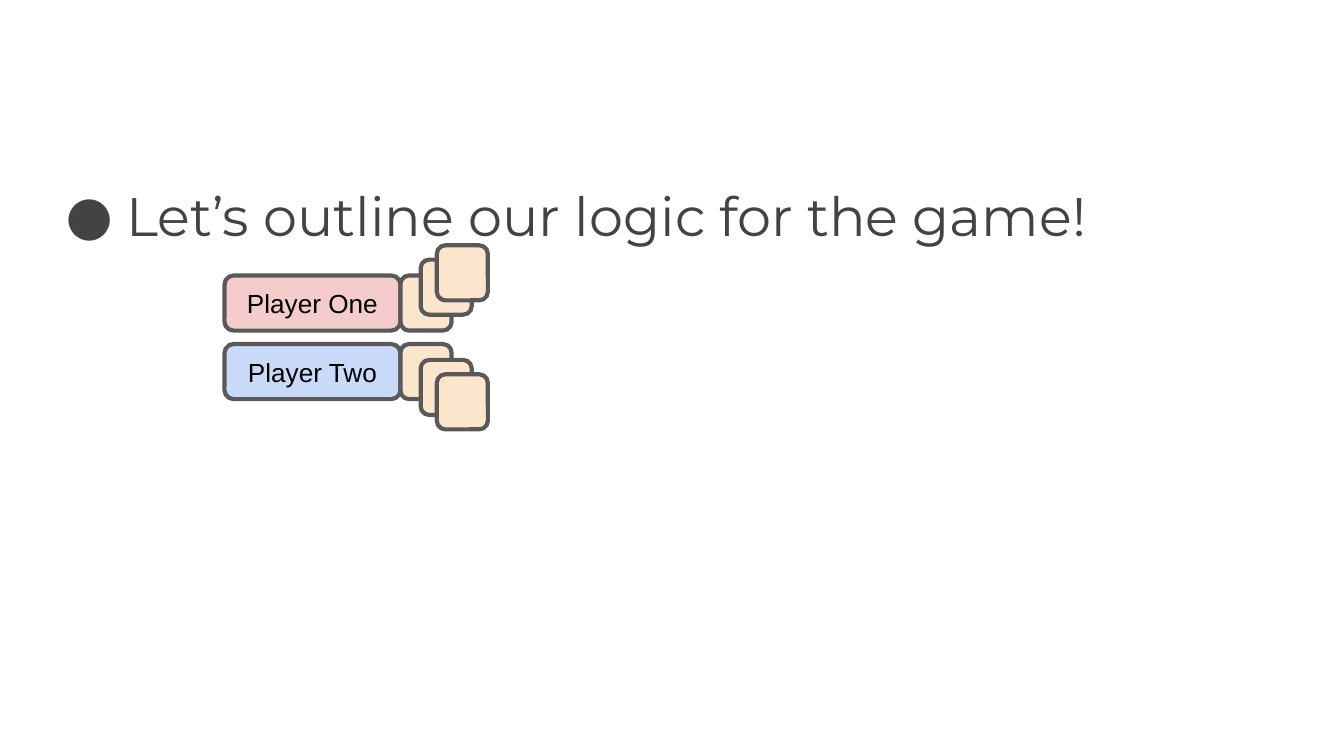
"""Build a slide showing two players, each with a fan of three cards."""
import pptx
import pptx.dml.color
import pptx.enum.shapes
import pptx.enum.text
import pptx.oxml
import pptx.oxml.ns
import pptx.util

Pt = pptx.util.Pt
RGBColor = pptx.dml.color.RGBColor
GREY = RGBColor(0x43, 0x43, 0x43)
BLACK = RGBColor(0x00, 0x00, 0x00)
OUTLINE = RGBColor(0x59, 0x59, 0x59)
PINK = RGBColor(0xF4, 0xCC, 0xCC)
BLUE = RGBColor(0xC9, 0xDA, 0xF8)
CREAM = RGBColor(0xFC, 0xE5, 0xCD)

PLAYER_LEFT, PLAYER_WIDTH = 120.24, 94.32
CARD_WIDTH, HEIGHT = 27.36, 29.52
CARD_LEFT = PLAYER_LEFT + PLAYER_WIDTH


def write(frame, text, *, size, font, color, align, anchor):
    frame.word_wrap = True
    frame.vertical_anchor = anchor
    frame.margin_left = frame.margin_right = Pt(7.2)
    frame.margin_top = frame.margin_bottom = Pt(7.2)
    para = frame.paragraphs[0]
    para.alignment = align
    span = para.add_run()
    span.text = text
    span.font.size = Pt(size)
    span.font.name = font
    span.font.color.rgb = color
    return para


def add_tile(page, left, top, width, fill):
    tile = page.shapes.add_shape(
        pptx.enum.shapes.MSO_SHAPE.ROUNDED_RECTANGLE,
        Pt(left), Pt(top), Pt(width), Pt(HEIGHT))
    tile.adjustments[0] = 0.167
    tile.shadow.inherit = False
    tile.fill.solid()
    tile.fill.fore_color.rgb = fill
    tile.line.color.rgb = OUTLINE
    tile.line.width = Pt(2.25)
    return tile


deck = pptx.Presentation()
deck.slide_width, deck.slide_height = Pt(720), Pt(405)
page = deck.slides.add_slide(deck.slide_layouts[6])

box = page.shapes.add_textbox(Pt(24.48), Pt(90.72), Pt(684), Pt(269.28))
para = write(box.text_frame, "Let’s outline our logic for the game!",
             size=29, font="Montserrat", color=GREY,
             align=pptx.enum.text.PP_ALIGN.LEFT,
             anchor=pptx.enum.text.MSO_ANCHOR.TOP)
properties = para._p.get_or_add_pPr()
properties.set("marL", str(Pt(36)))
properties.set("indent", str(Pt(-32.4)))
namespace = pptx.oxml.ns.nsdecls("a")
for bullet in (
    f'<a:buClr {namespace}><a:srgbClr val="{GREY}"/></a:buClr>',
    f'<a:buSzPct {namespace} val="100000"/>',
    f'<a:buFont {namespace} typeface="Montserrat"/>',
    f'<a:buChar {namespace} char="●"/>',
):
    properties.append(pptx.oxml.parse_xml(bullet))

players = [
    ("Player One", PINK, 147.6, -1),
    ("Player Two", BLUE, 184.32, 1),
]
for name, fill, top, direction in players:
    player = add_tile(page, PLAYER_LEFT, top, PLAYER_WIDTH, fill)
    write(player.text_frame, name, size=14, font="Arial", color=BLACK,
          align=pptx.enum.text.PP_ALIGN.CENTER,
          anchor=pptx.enum.text.MSO_ANCHOR.MIDDLE)
    for shift, rise in [(0, 0), (10.8, 8.5), (19.44, 16.2)]:
        add_tile(page, CARD_LEFT + shift, top + direction * rise, CARD_WIDTH, CREAM)

deck.save("out.pptx")
